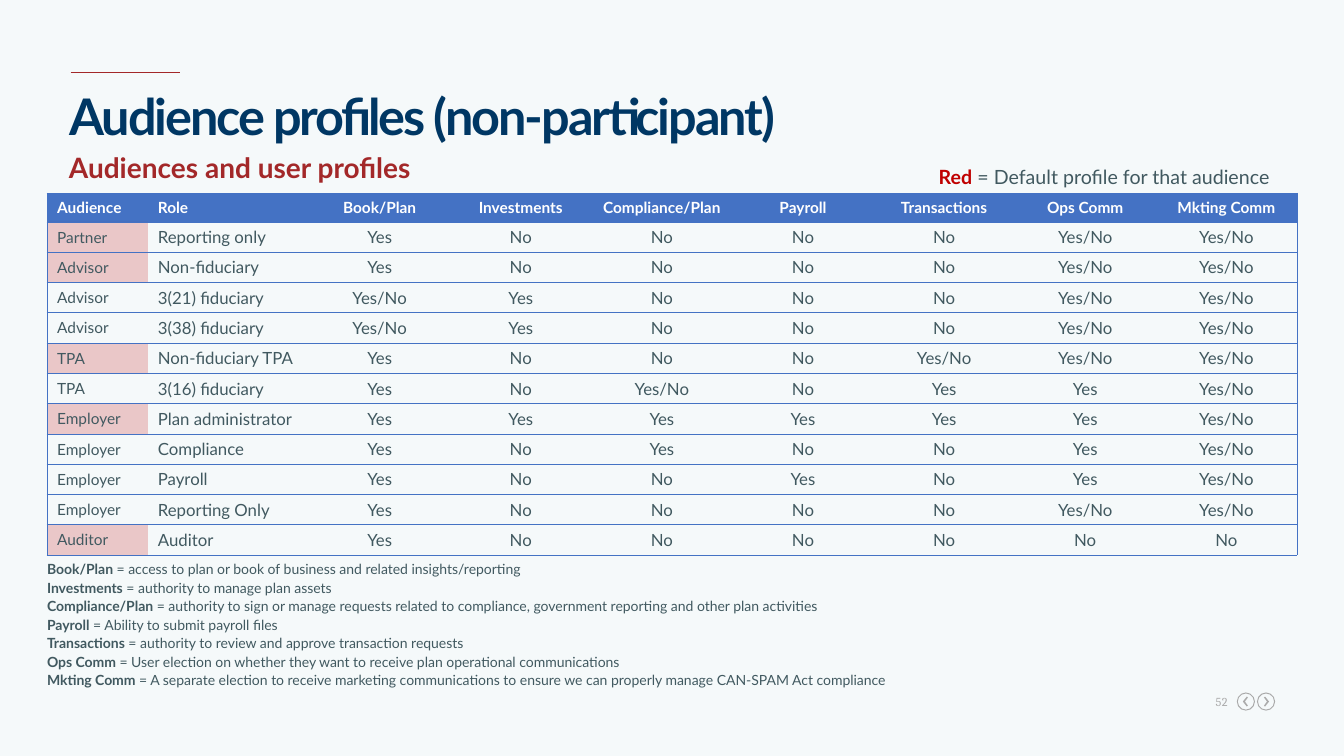
"""Build the audience profiles slide with its table, notes and page marks."""
from dataclasses import dataclass
from typing import NamedTuple

from lxml import etree
from pptx import Presentation
from pptx.dml.color import RGBColor
from pptx.enum.shapes import MSO_CONNECTOR
from pptx.enum.text import MSO_ANCHOR, PP_ALIGN
from pptx.oxml.ns import qn
from pptx.util import Emu, Pt

LEFT, MID, RIGHT = PP_ALIGN.LEFT, PP_ALIGN.CENTER, PP_ALIGN.RIGHT
CENTER = MSO_ANCHOR.MIDDLE
STRAIGHT = MSO_CONNECTOR.STRAIGHT

WIDE, HIGH = 12192000, 6858000
COLS, ROWS = 80, 45
NAVY, CRIMSON, RED = "003764", "A32829", "C00000"
BLUE, SLATE, GRAY = "4472C4", "415960", "AAAAAA"
WHITE, PALE = "FFFFFF", "F5F9FA"
PLAIN = "{2D5ABB26-0587-4C30-8999-92F81FD0307C}"


class Run(NamedTuple):
    text: str
    size: float
    color: str = SLATE
    bold: bool = False
    font: str = "Lato"
    space: float = 0


class Box(NamedTuple):
    col: float
    row: float
    wide: float
    high: float


@dataclass
class Label:
    box: Box
    lines: list[list[Run]]
    align: PP_ALIGN = LEFT
    pitch: float = 1.0


@dataclass
class Role:
    group: str
    name: str
    flags: str
    main: bool = False


WORDS = {"Y": "Yes", "N": "No", "B": "Yes/No"}
HEADS = ["Audience", "Role", "Book/Plan", "Investments", "Compliance/Plan",
         "Payroll", "Transactions", "Ops Comm", "Mkting Comm"]
ROLES = [
    Role("Partner", "Reporting only", "YNNNNBB", True),
    Role("Advisor", "Non-fiduciary", "YNNNNBB", True),
    Role("Advisor", "3(21) fiduciary", "BYNNNBB"),
    Role("Advisor", "3(38) fiduciary", "BYNNNBB"),
    Role("TPA", "Non-fiduciary TPA", "YNNNBBB", True),
    Role("TPA", "3(16) fiduciary", "YNBNYYB"),
    Role("Employer", "Plan administrator", "YYYYYYB", True),
    Role("Employer", "Compliance", "YNYNNYB"),
    Role("Employer", "Payroll", "YNNYNYB"),
    Role("Employer", "Reporting Only", "YNNNNBB"),
    Role("Auditor", "Auditor", "YNNNNNN", True),
]
NOTES = [
    ("Book/Plan", "access to plan or book of business and related insights/reporting"),
    ("Investments", "authority to manage plan assets"),
    ("Compliance/Plan", "authority to sign or manage requests related to compliance, "
     "government reporting and other plan activities"),
    ("Payroll", "Ability to submit payroll files"),
    ("Transactions", "authority to review and approve transaction requests"),
    ("Ops Comm", "User election on whether they want to receive plan operational "
     "communications"),
    ("Mkting Comm", "A separate election to receive marketing communications to ensure "
     "we can properly manage CAN-SPAM Act compliance"),
]
LABELS = [
    Label(Box(71.58, 41.34, 1.5, 0.9),
          [[Run("52", 8.7, GRAY, font="Cambria", space=0.3)]], RIGHT),
    Label(Box(4.14, 5.04, 72.6, 3.42),
          [[Run("Audience profiles (non-participant)", 36, NAVY, True, space=-1.5)]]),
    Label(Box(4.1, 9.18, 72.66, 2.22),
          [[Run("Audiences and user profiles", 20, CRIMSON, True)]], pitch=0.9),
    Label(Box(2.8, 33.27, 73.08, 7.68),
          [[Run(term, 10, bold=True), Run(f" = {text}", 10)] for term, text in NOTES],
          pitch=1.1),
    Label(Box(55.88, 9.84, 20.04, 1.44),
          [[Run("Red", 14, RED, True),
            Run(" = Default profile for that audience", 14)]]),
]
WIDTHS = [6, 9.6] + [8.4] * 7
HEIGHTS = [1.68] + [1.8] * len(ROLES)
TABLE = Box(2.8, 11.5, sum(WIDTHS), sum(HEIGHTS))
ARROW = [(-0.12, -0.24), (0.06, 0), (-0.12, 0.24), (-0.06, 0.3), (0.18, 0), (-0.06, -0.3)]
RINGS = [(0.54, 1), (0.48, -1)]


def across(cols: float) -> Emu:
    return Emu(round(cols * WIDE / COLS))


def down(rows: float) -> Emu:
    return Emu(round(rows * HIGH / ROWS))


def place(box: Box) -> tuple[Emu, Emu, Emu, Emu]:
    return across(box.col), down(box.row), across(box.wide), down(box.high)


def paint(color: str) -> RGBColor:
    return RGBColor.from_string(color)


def write(para, runs: list[Run], align: PP_ALIGN) -> None:
    para.text = runs[0].text
    para.alignment = align
    for item in runs[1:]:
        para.add_run().text = item.text
    for run, item in zip(para.runs, runs):
        font = run.font
        font.name, font.size, font.bold = item.font, Pt(item.size), item.bold
        font.color.rgb = paint(item.color)
        if item.space:
            run._r.get_or_add_rPr().set("spc", str(round(item.space * 100)))


def add_label(slide, label: Label) -> None:
    frame = slide.shapes.add_textbox(*place(label.box)).text_frame
    frame.word_wrap = True
    frame.margin_left = frame.margin_right = frame.margin_top = frame.margin_bottom = 0
    for spot, runs in enumerate(label.lines):
        para = frame.add_paragraph() if spot else frame.paragraphs[0]
        write(para, runs, label.align)
        para.line_spacing = label.pitch


def edge(cell, side: str) -> None:
    line = etree.SubElement(cell._tc.get_or_add_tcPr(), qn(f"a:ln{side}"),
                            w=str(Pt(0.5)))
    fill = etree.SubElement(line, qn("a:solidFill"))
    etree.SubElement(fill, qn("a:srgbClr"), val=BLUE)


def tint(cell, color: str, share: int = 100) -> None:
    cell.fill.solid()
    cell.fill.fore_color.rgb = paint(color)
    if share < 100:
        tone = cell._tc.tcPr.find(qn("a:solidFill"))[0]
        etree.SubElement(tone, qn("a:alpha"), val=str(share * 1000))


def add_grid(slide) -> None:
    shape = slide.shapes.add_table(len(HEIGHTS), len(WIDTHS), *place(TABLE))
    table = shape.table
    table.horz_banding = False
    next(shape._element.iter(qn("a:tableStyleId"))).text = PLAIN
    for col, wide in zip(table.columns, WIDTHS):
        col.width = across(wide)
    for row, high in zip(table.rows, HEIGHTS):
        row.height = down(high)
    lines = [HEADS] + [[r.group, r.name, *(WORDS[f] for f in r.flags)] for r in ROLES]
    for row, texts in enumerate(lines):
        for col, text in enumerate(texts):
            cell = table.cell(row, col)
            cell.vertical_anchor = CENTER
            size = 11 if row == 0 or col == 0 else 12
            run = Run(text, size, SLATE if row else WHITE, row == 0)
            write(cell.text_frame.paragraphs[0], [run], MID if col > 1 else LEFT)
            sides = {"L": col == 0, "R": col == len(WIDTHS) - 1,
                     "T": True, "B": row == len(ROLES)}
            for side, shown in sides.items():
                if shown:
                    edge(cell, side)
            if row == 0:
                tint(cell, BLUE)
            elif col == 0 and ROLES[row - 1].main:
                tint(cell, RED, 20)
            else:
                cell.fill.background()


def ring(size: float, turn: int) -> list[tuple[float, float]]:
    rise = size * turn
    return [(-size, 0), (0, -rise), (size, 0), (0, rise), (-size, 0)]


def bend(mark) -> None:
    sides = list(mark._element.iter(qn("a:lnTo")))
    arcs = [(size, turn, step) for size, turn in RINGS for step in range(4)]
    for side, (size, turn, step) in zip(sides, arcs):
        start = (180 + 90 * turn * step) % 360
        arc = etree.Element(qn("a:arcTo"), wR=str(across(size)), hR=str(down(size)),
                            stAng=str(start * 60000), swAng=str(turn * 90 * 60000))
        side.getparent().replace(side, arc)


def add_mark(slide, col: float, row: float, way: int) -> None:
    arrow = [(way * x, y) for x, y in ARROW]
    loops = [[(across(col + x), down(row + y)) for x, y in loop]
             for loop in [ring(size, turn) for size, turn in RINGS] + [arrow]]
    pen = slide.shapes.build_freeform(*loops[0][0])
    pen.add_line_segments(loops[0][1:], close=True)
    for loop in loops[1:]:
        pen.move_to(*loop[0])
        pen.add_line_segments(loop[1:], close=True)
    mark = pen.convert_to_shape()
    bend(mark)
    mark.shadow.inherit = False
    mark.fill.solid()
    mark.fill.fore_color.rgb = paint(GRAY)
    mark.line.fill.background()


def add_rule(slide) -> None:
    rule = slide.shapes.add_connector(STRAIGHT, across(4.2), down(4.32),
                                      across(10.74), down(4.32))
    rule.line.color.rgb = paint(CRIMSON)
    rule.line.width = Pt(0.75)
    etree.SubElement(rule._element.spPr, qn("a:effectLst"))


def main() -> None:
    deck = Presentation()
    deck.slide_width, deck.slide_height = WIDE, HIGH
    slide = deck.slides.add_slide(deck.slide_layouts[6])
    slide.background.fill.solid()
    slide.background.fill.fore_color.rgb = paint(PALE)
    add_mark(slide, 75.36, 41.76, 1)
    add_mark(slide, 74.16, 41.76, -1)
    add_rule(slide)
    add_grid(slide)
    for label in LABELS:
        add_label(slide, label)
    deck.save("out.pptx")


if __name__ == "__main__":
    main()
